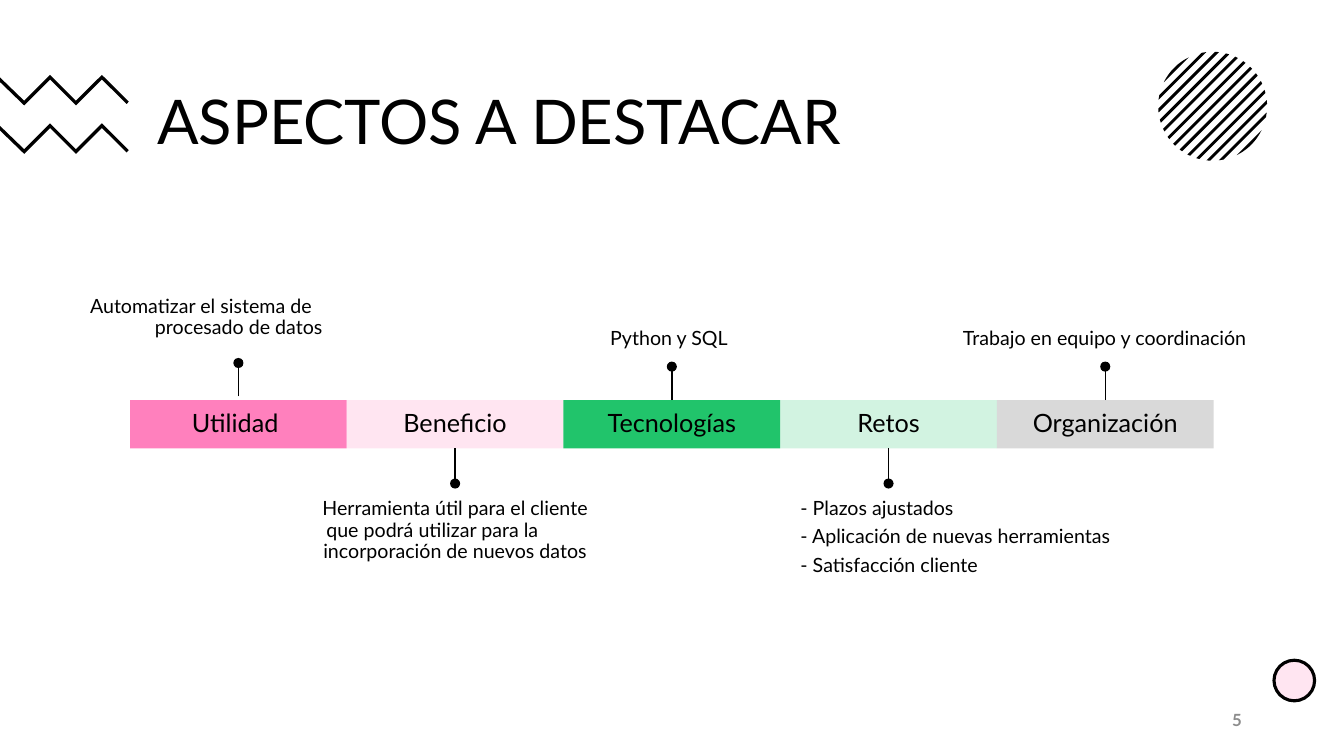
import math
from dataclasses import dataclass

import pptx
import pptx.dml.color
import pptx.enum.shapes
import pptx.enum.text
import pptx.oxml
import pptx.oxml.ns
import pptx.util

Pt = pptx.util.Pt
ALIGN = pptx.enum.text.PP_ALIGN
ANCHOR = pptx.enum.text.MSO_ANCHOR
SHAPE = pptx.enum.shapes.MSO_SHAPE


@dataclass(frozen=True)
class Theme:
    font: str = "Lato"
    ink: str = "000000"
    pink: str = "FF80BD"
    green: str = "21C46B"
    grey: str = "D9D9D9"
    muted: str = "8C8C8C"
    title: float = 44
    label: float = 18
    body: float = 14
    number: float = 12


def apply(target, values):
    for key, value in values.items():
        setattr(target, key, value)


def child(parent, tag, **attributes):
    element = pptx.oxml.parse_xml(f"<a:{tag} {pptx.oxml.ns.nsdecls('a')}/>")
    for key, value in attributes.items():
        element.set(key, str(value))
    parent.append(element)


class Board:
    def __init__(self, slide, theme):
        self.shapes = slide.shapes
        self.theme = theme

    def paint(self, shape, color, alpha=100, outline=0):
        shape.shadow.inherit = False
        shape.fill.solid()
        shape.fill.fore_color.rgb = pptx.dml.color.RGBColor.from_string(color)
        if alpha < 100:
            tint = shape._element.spPr.find(".//" + pptx.oxml.ns.qn("a:srgbClr"))
            child(tint, "alpha", val=alpha * 1000)
        if outline:
            shape.line.color.rgb = pptx.dml.color.RGBColor.from_string(self.theme.ink)
            shape.line.width = Pt(outline)
        else:
            shape.line.fill.background()

    def block(self, kind, box, color, alpha=100, outline=0):
        shape = self.shapes.add_shape(kind, *map(Pt, box))
        self.paint(shape, color, alpha, outline)
        return shape

    def outline(self, points):
        corners = [(Pt(x), Pt(y)) for x, y in points]
        builder = self.shapes.build_freeform(*corners[0], scale=1.0)
        builder.add_line_segments(corners[1:], close=True)
        self.paint(builder.convert_to_shape(), self.theme.ink)

    def stem(self, x, start, end):
        stem = self.shapes.add_connector(
            pptx.enum.shapes.MSO_CONNECTOR.STRAIGHT, Pt(x), Pt(start), Pt(x), Pt(end))
        stem.line.color.rgb = pptx.dml.color.RGBColor.from_string(self.theme.ink)
        stem.line.width = Pt(1)
        child(stem._element.spPr, "effectLst")

    def lettering(self, holder, lines, size, align, anchor=ANCHOR.MIDDLE, inset=(7.2, 3.6),
                  gap=0, indents=None, color=None, bold=False, tracking=0):
        across, down = map(Pt, inset)
        frame = holder.text_frame
        apply(frame, dict(word_wrap=True, vertical_anchor=anchor, margin_left=across,
                          margin_right=across, margin_top=down, margin_bottom=down))
        for index, line in enumerate(lines):
            paragraph = frame.add_paragraph() if index else frame.paragraphs[0]
            apply(paragraph, dict(alignment=align, line_spacing=0.9, space_after=Pt(gap)))
            if indents:
                paragraph._p.get_or_add_pPr().set("marL", str(Pt(indents[index])))
            run = paragraph.add_run()
            run.text = line
            apply(run.font, dict(name=self.theme.font, size=Pt(size), bold=bold))
            run.font.color.rgb = pptx.dml.color.RGBColor.from_string(color or self.theme.ink)
            if tracking:
                run._r.get_or_add_rPr().set("spc", str(tracking * 100))

    def text(self, box, lines, size, align, **style):
        self.lettering(self.shapes.add_textbox(*map(Pt, box)), lines, size, align, **style)


def draw_striped_circle(board):
    center_x, center_y, radius = 866.2, 75.9, 38.88
    pitch, half, steps = 6.3, 1.02, 8
    for stripe in range(-6, 7):
        near, far = (math.asin(max(-1, min(1, (stripe * pitch + side) / radius)))
                     for side in (-half, half))
        arc = [near + (far - near) * step / steps for step in range(steps + 1)]
        rim = arc + [math.pi - angle for angle in reversed(arc)]
        reach = radius / math.sqrt(2)
        board.outline([(center_x + reach * (math.sin(a) + math.cos(a)),
                        center_y + reach * (math.sin(a) - math.cos(a))) for a in rim])


def draw_zigzags(board):
    crest = [(0, 55.3)] + [(17.3 + 18.5 * k, 53.5 if k % 2 else 72) for k in range(4)]
    edge = [(x, y + 3.3) for x, y in reversed(crest)]
    for drop in (0, 34.6):
        ribbon = crest + [(92, 72.6), (90.5, 74.3)] + edge
        board.outline([(x, y + drop) for x, y in ribbon])


def draw_timeline(board):
    theme = board.theme
    left, top, width, height = 92.9, 285.8, 154.8, 34.5
    stem, dot = 27.5, 7.2
    aspects = [
        ("Utilidad ", theme.pink, 100, 2.6, (41, 257.8, 244),
         ["Automatizar el sistema de", "procesado de datos"],
         dict(align=ALIGN.LEFT, indents=(19, 65.4))),
        ("Beneficio", theme.pink, 20, 0, (213.8, 222.5, 354.2),
         ["Herramienta útil para el cliente", "que podrá utilizar para la",
          "incorporación de nuevos datos"],
         dict(align=ALIGN.LEFT, indents=(12.2, 15, 12.8))),
        ("Tecnologías", theme.green, 100, 0, (350.6, 257.8, 252),
         ["Python y SQL "], dict(align=ALIGN.CENTER)),
        ("Retos", theme.green, 20, 0, (567.4, 241.2, 354.2),
         ["- Plazos ajustados", "- Aplicación de nuevas herramientas",
          "- Satisfacción cliente"],
         dict(align=ALIGN.JUSTIFY, gap=4.9)),
        ("Organización", theme.grey, 100, 0, (660.2, 257.8, 252),
         ["Trabajo en equipo y coordinación"], dict(align=ALIGN.CENTER)),
    ]
    for index, (name, color, alpha, lift, place, detail, style) in enumerate(aspects):
        x = left + index * width
        middle = x + width / 2
        segment = board.block(SHAPE.RECTANGLE, (x, top, width, height), color, alpha)
        board.lettering(segment, [name], theme.label, ALIGN.CENTER, inset=(2.9, 0))
        above = index % 2 == 0
        start = top - lift if above else top + height
        end = start - stem if above else start + stem
        board.stem(middle, start, end)
        dot_top = end if above else end - dot + 1.2
        board.block(SHAPE.OVAL, (middle - dot / 2, dot_top, dot, dot), theme.ink)
        note_left, note_width, note_edge = place
        note_height = 120
        note_top = note_edge - note_height if above else note_edge
        board.text((note_left, note_top, note_width, note_height), detail, theme.body,
                   anchor=ANCHOR.BOTTOM if above else ANCHOR.TOP, inset=(4.3, 2.2), **style)


def main():
    deck = pptx.Presentation()
    apply(deck, dict(slide_width=Pt(960), slide_height=Pt(540)))
    theme = Theme()
    board = Board(deck.slides.add_slide(deck.slide_layouts[6]), theme)
    draw_striped_circle(board)
    draw_zigzags(board)
    board.block(SHAPE.OVAL, (910, 471.6, 29, 29), theme.pink, alpha=20, outline=2.25)
    board.text((105.1, 44.6, 767.5, 88.6), ["ASPECTOS A DESTACAR"], theme.title, ALIGN.LEFT)
    board.text((678.2, 500.4, 216, 28.8), ["5"], theme.number, ALIGN.RIGHT,
               color=theme.muted, bold=True, tracking=1)
    draw_timeline(board)
    deck.save("out.pptx")


if __name__ == "__main__":
    main()
